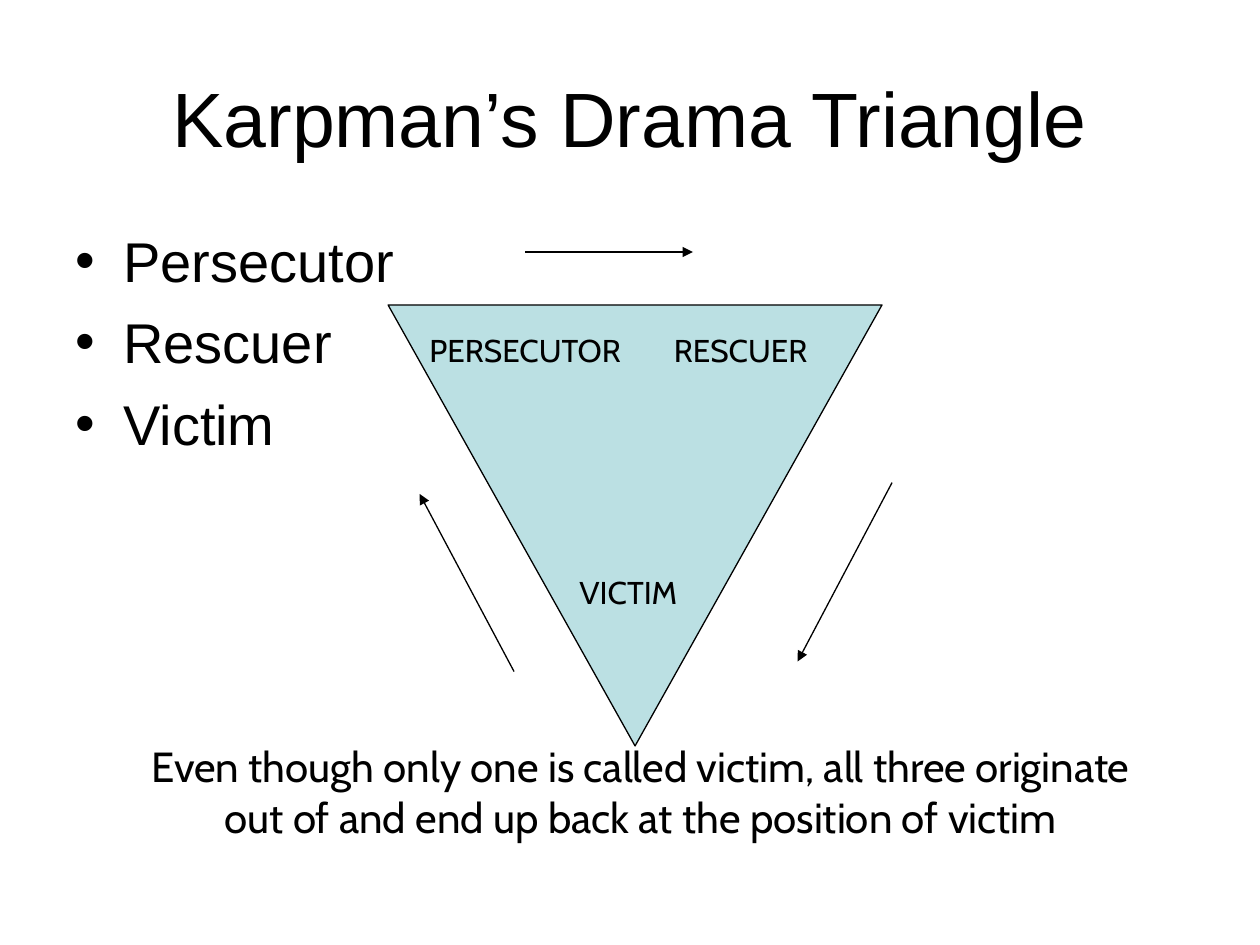
from dataclasses import dataclass

from lxml.etree import SubElement
from pptx import Presentation
from pptx.dml.color import RGBColor
from pptx.enum.shapes import MSO_CONNECTOR, MSO_SHAPE
from pptx.enum.text import MSO_ANCHOR, MSO_AUTO_SIZE, PP_ALIGN
from pptx.oxml.ns import qn
from pptx.util import Inches, Pt


@dataclass(frozen=True)
class Theme:
    ink: RGBColor = RGBColor(0x00, 0x00, 0x00)
    fill: RGBColor = RGBColor(0xBB, 0xE0, 0xE3)
    main_font: str = "Arial"
    label_font: str = "Cabin"
    title: int = 44
    bullet: int = 32
    caption: int = 24
    label: int = 18
    line: float = 0.75


@dataclass(frozen=True)
class Label:
    text: str
    left: float
    top: float
    width: float
    wrap: bool = True


@dataclass(frozen=True)
class Arrow:
    start: tuple[float, float]
    end: tuple[float, float]


THEME = Theme()
ROLES = ["Persecutor", "Rescuer", "Victim"]
LABELS = [
    Label("VICTIM", 4.5, 4.5, 1.25),
    Label("PERSECUTOR", 3.31, 2.58, 1.75, wrap=False),
    Label("RESCUER", 5.25, 2.58, 1.92),
]
ARROWS = [
    Arrow((4.17, 2), (5.5, 2)),
    Arrow((7.08, 3.83), (6.33, 5.25)),
    Arrow((4.08, 5.33), (3.33, 3.92)),
]


def add_bullet(p, indent: float) -> None:
    """Give a paragraph a hanging round bullet."""
    pPr = p._p.get_or_add_pPr()
    pPr.set("marL", str(Inches(indent)))
    pPr.set("indent", str(-Inches(indent)))
    SubElement(pPr, qn("a:buFont"), typeface=THEME.main_font)
    SubElement(pPr, qn("a:buChar"), char="•")


def add_text(s, lines: list[str], left: float, top: float, width: float,
             height: float, *, size: int, font: str, align=PP_ALIGN.LEFT,
             anchor=MSO_ANCHOR.TOP, wrap: bool = True, grow: bool = False,
             bullets: bool = False, gap: float = 0) -> None:
    """Add a text box with one paragraph for each line."""
    sp = s.shapes.add_textbox(Inches(left), Inches(top), Inches(width), Inches(height))
    tf = sp.text_frame
    tf.word_wrap = wrap
    tf.vertical_anchor = anchor
    tf.auto_size = MSO_AUTO_SIZE.SHAPE_TO_FIT_TEXT if grow else MSO_AUTO_SIZE.NONE
    for i, line in enumerate(lines):
        p = tf.add_paragraph() if i else tf.paragraphs[0]
        p.alignment = align
        if i:
            p.space_before = Pt(gap)
        if bullets:
            add_bullet(p, 0.38)
        r = p.add_run()
        r.text = line
        r.font.size = Pt(size)
        r.font.name = font
        r.font.color.rgb = THEME.ink


def add_triangle(s, left: float, top: float, width: float, height: float) -> None:
    """Add the triangle, pointing down."""
    sp = s.shapes.add_shape(MSO_SHAPE.ISOSCELES_TRIANGLE, Inches(left), Inches(top),
                            Inches(width), Inches(height))
    sp.rotation = 180
    sp.shadow.inherit = False
    sp.fill.solid()
    sp.fill.fore_color.rgb = THEME.fill
    sp.line.color.rgb = THEME.ink
    sp.line.width = Pt(THEME.line)


def add_arrow(s, arrow: Arrow) -> None:
    """Add a straight line with a head at its end."""
    ends = [Inches(v) for v in (*arrow.start, *arrow.end)]
    line = s.shapes.add_connector(MSO_CONNECTOR.STRAIGHT, *ends)
    line.line.color.rgb = THEME.ink
    line.line.width = Pt(THEME.line)
    SubElement(line.line._get_or_add_ln(), qn("a:tailEnd"), type="triangle")
    SubElement(line._element.spPr, qn("a:effectLst"))


def main() -> None:
    prs = Presentation()
    prs.slide_width, prs.slide_height = Inches(10), Inches(7.5)
    s = prs.slides.add_slide(prs.slide_layouts[6])

    # Title and list of roles
    add_text(s, ["Karpman’s Drama Triangle"], 0.5, 0.3, 9, 1.25, size=THEME.title,
             font=THEME.main_font, align=PP_ALIGN.CENTER, anchor=MSO_ANCHOR.MIDDLE)
    add_text(s, ROLES, 0.5, 1.75, 9, 4.95, size=THEME.bullet,
             font=THEME.main_font, bullets=True, gap=8)

    # Triangle with a role at each corner
    add_triangle(s, 3.08, 2.42, 3.92, 3.5)
    for label in LABELS:
        add_text(s, [label.text], label.left, label.top, label.width, 0.4,
                 size=THEME.label, font=THEME.label_font, wrap=label.wrap, grow=True)

    # Caption
    add_text(s, ["Even though only one is called victim, all three originate "
                 "out of and end up back at the position of victim"],
             1, 5.83, 8.17, 1.3, size=THEME.caption, font=THEME.label_font,
             align=PP_ALIGN.CENTER, grow=True)

    # Arrows around the triangle
    for arrow in ARROWS:
        add_arrow(s, arrow)

    prs.save("out.pptx")


if __name__ == "__main__":
    main()
